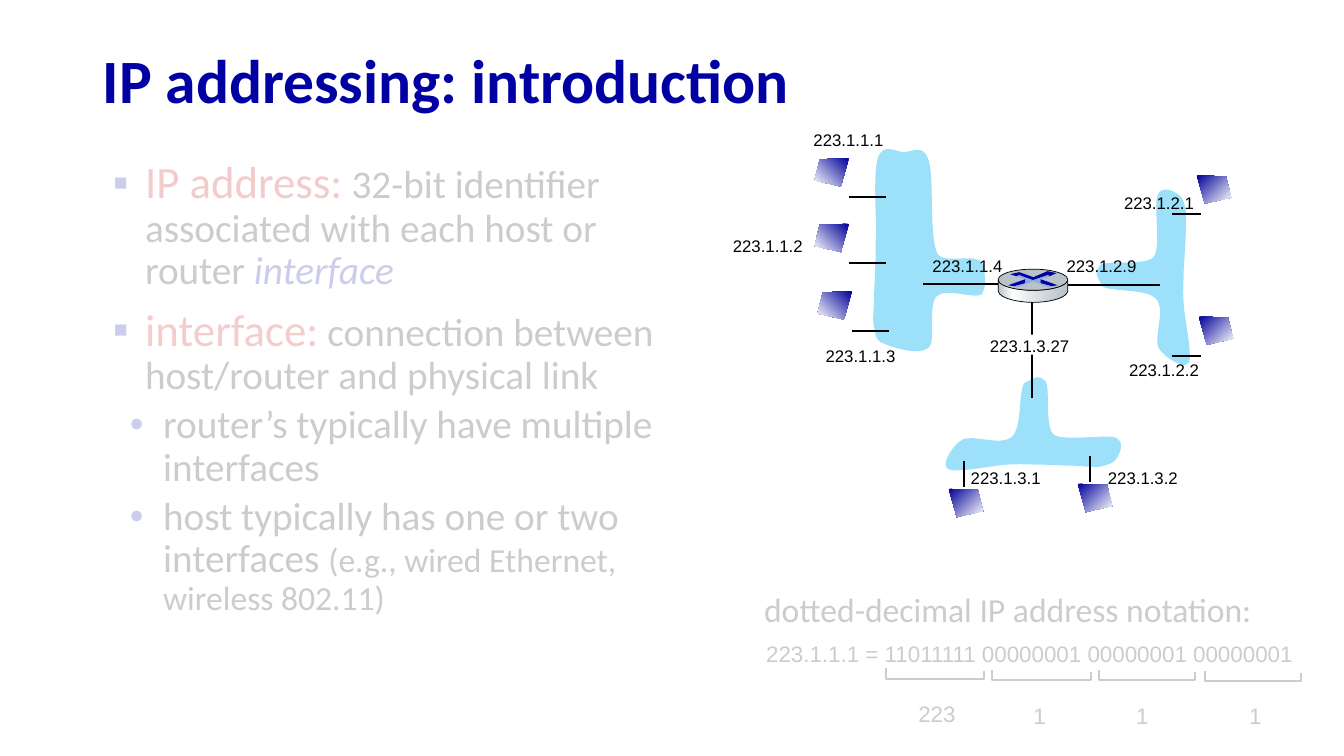
from copy import deepcopy
from lxml.etree import SubElement
from pptx import Presentation
from pptx.dml.color import RGBColor
from pptx.enum.shapes import MSO_CONNECTOR, MSO_SHAPE
from pptx.enum.text import MSO_ANCHOR
from pptx.oxml.ns import qn
from pptx.util import Cm, Pt

BLACK, WHITE, NAVY, INK, CLOUD = "000000", "FFFFFF", "0000A3", "0000A8", "9CE0FA"
HOST = [(0, "000099"), (1, WHITE)]
STEEL = [(0, "B8C2C9"), (0.21, WHITE), (0.6, "D6DCE0"), (1, "B8C2C9")]


def tint(code):
    return RGBColor.from_string(code)


def inch(size):
    return Cm(2.54 * size)


class Board:
    def __init__(self, slide, sans="Arial", body="Calibri"):
        self.shapes = slide.shapes
        self.sans, self.body = sans, body

    def style(self, font, size, face, color=BLACK, bold=None, slant=None):
        font.size, font.name = Pt(size), face
        font.color.rgb = tint(color)
        font.bold, font.italic = bold, slant

    def frame(self, x, y, wide, high, wrap=False):
        box = self.shapes.add_textbox(*map(inch, (x, y, wide, high)))
        box.text_frame.word_wrap = wrap
        return box.text_frame

    def label(self, text, x, y, wide=0.9, high=0.3, size=12, face=None):
        para = self.frame(x, y, wide, high).paragraphs[0]
        para.text = text
        self.style(para.font, size, face or self.sans)

    def title(self, text, x, y, wide, high):
        frame = self.frame(x, y, wide, high, True)
        frame.vertical_anchor = MSO_ANCHOR.MIDDLE
        para = frame.paragraphs[0]
        para.text, para.line_spacing = text, 0.9
        self.style(para.font, 44, self.body, NAVY, True)

    def bullets(self, items, x, y, wide, high):
        frame = self.frame(x, y, wide, high, True)
        for i, (level, runs) in enumerate(items):
            para = frame.add_paragraph() if i else frame.paragraphs[0]
            para.level = level
            left, hang, sign, color, gap = [(0.39, 0.32, "▪", NAVY, 10),
                                            (0.57, 0.33, "•", INK, 5)][level]
            props = para._p.get_or_add_pPr()
            props.set("marL", str(inch(left)))
            props.set("indent", str(-inch(hang)))
            SubElement(SubElement(props, qn("a:buClr")), qn("a:srgbClr")).set("val", color)
            SubElement(props, qn("a:buFont")).set("typeface", self.sans)
            SubElement(props, qn("a:buChar")).set("char", sign)
            para.line_spacing = 0.9
            if i:
                para.space_before = Pt(gap)
            if len(runs) == 1:
                para.text = runs[0][0]
                self.style(para.font, 28, self.body)
                continue
            for text, size, color, slant in runs:
                run = para.add_run()
                run.text = text
                self.style(run.font, size, self.body, color, slant=slant)

    def paint(self, shape, fill=None, line=None):
        shape.shadow.inherit = False
        if fill is None:
            shape.fill.background()
        else:
            shape.fill.solid()
            shape.fill.fore_color.rgb = tint(fill)
        if line is None:
            shape.line.fill.background()
        else:
            shape.line.color.rgb = tint(BLACK)
            shape.line.width = Pt(line)

    def fade(self, shape, stops, angle):
        shape.fill.gradient()
        shape.fill.gradient_angle = angle
        row = shape._element.spPr.find(qn("a:gradFill")).find(qn("a:gsLst"))
        while len(row) < len(stops):
            row.append(deepcopy(row[0]))
        for stop, (place, color) in zip(shape.fill.gradient_stops, stops):
            stop.color.rgb = tint(color)
            stop.position = place

    def block(self, kind, x, y, wide, high, fill, line=None):
        shape = self.shapes.add_shape(kind, *map(inch, (x, y, wide, high)))
        self.paint(shape, fill, line)
        return shape

    def veil(self, *place):
        shape = self.block(MSO_SHAPE.RECTANGLE, *place, WHITE)
        color = shape._element.spPr.find(qn("a:solidFill"))[0]
        SubElement(color, qn("a:alpha")).set("val", "80000")

    def outline(self, steps, fill=None, line=None, close=True):
        spots = [(inch(step[i]), inch(step[i + 1]))
                 for step in steps for i in range(0, len(step), 2)]
        maker = self.shapes.build_freeform(*spots[0], scale=1.0)
        maker.add_line_segments(spots[1:], close=close)
        shape = maker.convert_to_shape()
        nodes = shape._element.iter(qn("a:lnTo"))
        nodes = list(nodes)
        for step in steps[1:]:
            node = nodes.pop(0)
            if len(step) == 6:
                curve = SubElement(node.getparent(), qn("a:cubicBezTo"))
                node.addprevious(curve)
                for part in (node, nodes.pop(0), nodes.pop(0)):
                    curve.append(part[0])
                    part.getparent().remove(part)
        self.paint(shape, fill, line)
        return shape

    def host(self, x, y, side):
        edge = [(0, 0), (0.29, 0.01), (0.34, 0.22), (0.08, 0.28)]
        shape = self.outline([(x + side * dx, y + dy) for dx, dy in edge])
        self.fade(shape, HOST, 315 if side > 0 else 225)

    def wire(self, *ends):
        line = self.shapes.add_connector(MSO_CONNECTOR.STRAIGHT, *map(inch, ends))
        line.line.color.rgb = tint(BLACK)
        line.line.width = Pt(1.5)
        SubElement(line._element.spPr, qn("a:effectLst"))

    def router(self):
        rim = self.outline([
            (10.59, 2.78), (10.59, 2.89), (10.57, 2.97, 10.37, 3, 10.25, 3),
            (10.13, 3, 9.92, 2.97, 9.9, 2.89), (9.9, 2.87, 9.9, 2.81, 9.9, 2.78),
            (9.93, 2.85, 10.13, 2.88, 10.25, 2.88), (10.36, 2.88, 10.56, 2.86, 10.59, 2.78)], line=0.5)
        self.fade(rim, STEEL, 0)
        self.block(MSO_SHAPE.OVAL, 9.9, 2.67, 0.69, 0.21, "B8C2C9", 0.5)
        self.outline([(10.39, 2.69), (10.48, 2.71), (10.41, 2.74), (10.39, 2.73), (10.24, 2.78),
                      (10.11, 2.73), (10.08, 2.74), (10.02, 2.72), (10.11, 2.7), (10.25, 2.75)], NAVY)
        self.outline([(10.32, 2.77), (10.49, 2.83), (10.43, 2.84), (10.32, 2.81)], NAVY)
        self.outline([(10.17, 2.77), (10.17, 2.81), (10.06, 2.84), (10, 2.83)], INK)
        self.outline([(10.08, 2.74), (10.11, 2.73), (10.25, 2.78), (10.39, 2.73), (10.42, 2.74),
                      (10.32, 2.77), (10.32, 2.81), (10.43, 2.84), (10.4, 2.85), (10.25, 2.79),
                      (10.09, 2.85), (10.06, 2.84), (10.17, 2.81), (10.17, 2.77)], "8FAADC")


def main():
    deck = Presentation()
    deck.slide_width, deck.slide_height = inch(13.33), inch(7.5)
    board = Board(deck.slides.add_slide(deck.slide_layouts[6]))

    board.bullets([
        (0, [("IP address:", 32, "C00000", None), (" ", 28, "C00000", None),
             ("32-bit identifier associated with each host or router ", 28, BLACK, None),
             ("interface", 28, NAVY, True)]),
        (0, [("interface:", 32, "CC0000", None),
             (" connection between host/router and physical link", 28, BLACK, None)]),
        (1, [("router’s typically have multiple interfaces",)]),
        (1, [("host typically has one or two interfaces ", 28, BLACK, None),
             ("(e.g., wired Ethernet, wireless 802.11)", 24, BLACK, None)]),
    ], 0.95, 1.54, 6.08, 5.3)
    board.title("IP addressing: introduction", 0.92, 0.34, 11.5, 0.98)

    clouds = [
        [(10.16, 3.8),
         (10.1, 3.89, 10.14, 4.23, 10.04, 4.33), (9.94, 4.43, 9.66, 4.31, 9.55, 4.36),
         (9.45, 4.41, 9.33, 4.61, 9.4, 4.65), (9.47, 4.7, 9.83, 4.62, 9.98, 4.61),
         (10.13, 4.6, 10.21, 4.61, 10.32, 4.61), (10.43, 4.61, 10.53, 4.62, 10.63, 4.62),
         (10.72, 4.62, 10.84, 4.64, 10.91, 4.63), (10.99, 4.61, 11.06, 4.59, 11.08, 4.54),
         (11.11, 4.49, 11.16, 4.38, 11.06, 4.34), (10.95, 4.31, 10.54, 4.38, 10.45, 4.31),
         (10.36, 4.23, 10.42, 3.85, 10.37, 3.78), (10.29, 3.73, 10.32, 3.72, 10.16, 3.8)],
        [(10.93, 2.84),
         (11.02, 2.9, 11.36, 2.86, 11.46, 2.96), (11.57, 3.06, 11.44, 3.34, 11.49, 3.45),
         (11.55, 3.55, 11.75, 3.67, 11.79, 3.6), (11.83, 3.53, 11.75, 3.17, 11.74, 3.02),
         (11.73, 2.87, 11.74, 2.79, 11.74, 2.68), (11.75, 2.57, 11.75, 2.47, 11.76, 2.37),
         (11.76, 2.27, 11.77, 2.16, 11.76, 2.09), (11.75, 2.01, 11.72, 1.94, 11.67, 1.92),
         (11.63, 1.89, 11.52, 1.84, 11.48, 1.94), (11.44, 2.05, 11.52, 2.46, 11.44, 2.55),
         (11.37, 2.64, 10.98, 2.58, 10.91, 2.63), (10.87, 2.71, 10.85, 2.68, 10.93, 2.84)],
        [(9.76, 2.66),
         (9.74, 2.47, 9.39, 2.64, 9.3, 2.52), (9.21, 2.34, 9.27, 1.76, 9.21, 1.59),
         (9.16, 1.42, 9.04, 1.51, 8.96, 1.51), (8.88, 1.5, 8.76, 1.42, 8.71, 1.56),
         (8.66, 1.69, 8.69, 2.13, 8.69, 2.31), (8.68, 2.49, 8.69, 2.54, 8.68, 2.65),
         (8.68, 2.76, 8.67, 2.86, 8.67, 2.96), (8.67, 3.06, 8.65, 3.17, 8.67, 3.24),
         (8.68, 3.32, 8.68, 3.38, 8.77, 3.41), (8.86, 3.45, 9.12, 3.53, 9.21, 3.45),
         (9.29, 3.38, 9.2, 3.03, 9.29, 2.94), (9.38, 2.85, 9.66, 2.97, 9.74, 2.92),
         (9.77, 2.84, 9.78, 2.85, 9.76, 2.66)],
    ]
    for steps in clouds:
        board.outline(steps, CLOUD)

    board.wire(10.24, 2.99, 10.24, 3.95)
    for x, y, wide in [(7.27, 2.37, 0.91), (9.78, 3.32, 0.93)]:
        board.block(MSO_SHAPE.RECTANGLE, x, y, wide, 0.2, WHITE)
    for tail, x, y in [("1.1", 7.97, 1.24), ("1.2", 7.17, 2.29), ("1.3", 8.09, 3.38),
                       ("1.4", 9.15, 2.49), ("2.9", 10.48, 2.49), ("2.2", 11.1, 3.52),
                       ("2.1", 11.05, 1.86), ("3.2", 10.89, 4.59), ("3.1", 9.53, 4.59)]:
        board.label("223.1." + tail, x, y)
    board.label("223.1.3.27", 9.72, 3.28, 1)

    board.label("223.1.1.1 = 11011111 00000001 00000001 00000001", 7.5, 6.3, 5.52, 0.42, 16)
    for left, right, top, base, text, x, y, wide in [
            (8.79, 9.76, 6.63, 6.74, "223", 9.01, 6.9, 0.57),
            (9.84, 10.82, 6.65, 6.75, "1", 10.15, 6.92, 0.32),
            (10.9, 11.85, 6.65, 6.75, "1", 11.17, 6.92, 0.32),
            (11.95, 12.9, 6.66, 6.76, "1", 12.29, 6.92, 0.32)]:
        board.outline([(left, top), (left, base), (right, base), (right, base - 0.08)],
                      line=1.5, close=False)
        board.label(text, x, y, wide, 0.42, 16)

    for x, y, level in [(8.42, 1.57, 1.95), (8.42, 2.22, 2.61), (8.45, 2.89, 3.28)]:
        board.host(x, y, -1)
        board.wire(x, level, x + 0.37, level)
    for x, y, level in [(11.87, 1.74, 2.12), (11.89, 3.14, 3.53)]:
        board.host(x, y, 1)
        board.wire(11.62, level, 11.91, level)
    for x, y, pin in [(10.69, 4.8, 10.81), (9.41, 4.85, 9.56)]:
        board.host(x, y, 1)
        board.wire(pin, y - 0.28, pin, y - 0.02)
    board.wire(9.15, 2.82, 10.02, 2.82)
    board.wire(10.44, 2.83, 11.51, 2.83)
    board.router()

    board.label("dotted-decimal IP address notation:", 7.48, 5.79, 5.09, 0.5, 24, board.body)
    board.veil(0.64, 1.38, 6.43, 5.68)
    board.veil(6.58, 5.65, 6.43, 1.85)
    deck.save("out.pptx")


if __name__ == "__main__":
    main()
